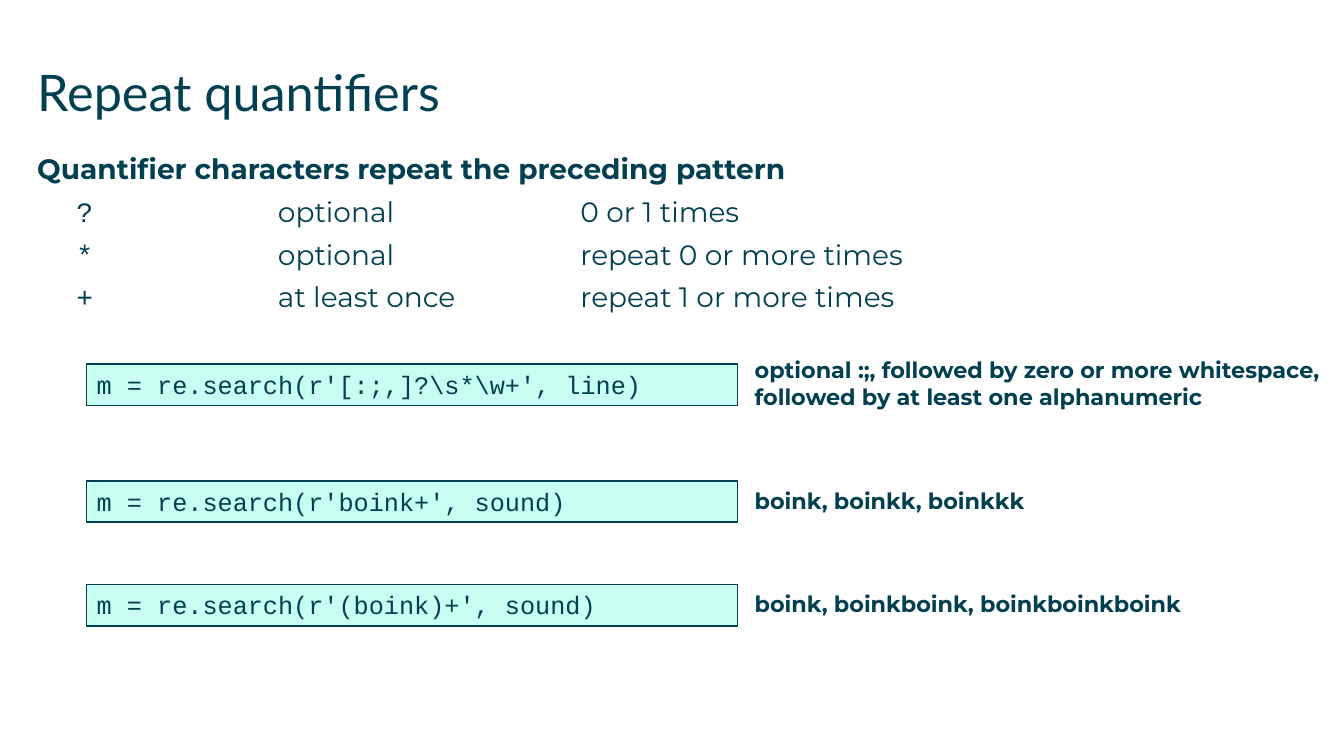
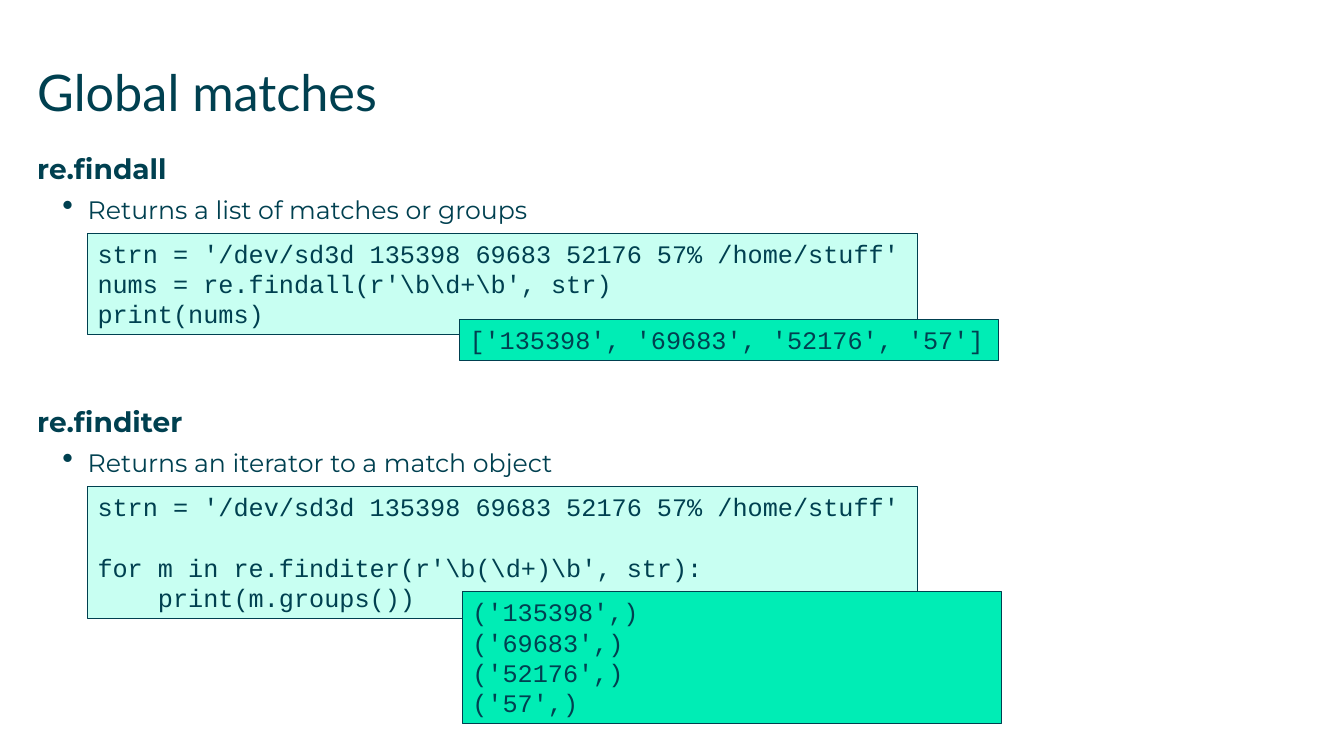
from pptx import Presentation
from pptx.dml.color import RGBColor
from pptx.enum.shapes import MSO_SHAPE as Shape
from pptx.enum.text import MSO_ANCHOR as Anchor
from pptx.util import Pt
from lxml.etree import SubElement as Sub
from pptx.oxml.ns import qn

# Shared look
INK, MINT, GREEN = "004050", "C8FFF2", "00EDB5"
HEAD, BODY, CODE = "Lato", "Montserrat", "Courier New"
LEFT, WIDE = 26.6, 907
GAP = 6.5


def color(text):
    return RGBColor.from_string(text)


def style(para, face, size, bold=False, after=0):
    para.space_after = Pt(after)
    font = para.font
    font.name, font.size, font.bold = face, Pt(size), bold
    font.color.rgb = color(INK)
    for run in para.runs:
        run.font.name, run.font.size, run.font.bold = face, Pt(size), bold
        run.font.color.rgb = color(INK)


def fill(frame, lines, face, size, bold=False, after=0):
    """Write one paragraph for each line."""
    frame.word_wrap = True
    for i, line in enumerate(lines):
        para = frame.paragraphs[0] if i == 0 else frame.add_paragraph()
        para.text = line
        style(para, face, size, bold, after)


def label(slide, box, lines, face, size, bold=False, after=0, inset=0):
    frame = slide.shapes.add_textbox(*map(Pt, box)).text_frame
    frame.margin_left = frame.margin_right = Pt(inset)
    frame.margin_top = frame.margin_bottom = 0
    fill(frame, lines, face, size, bold, after)
    return frame


def panel(slide, box, lines, back=MINT, edge=0.75):
    """Outlined box of code or output."""
    shape = slide.shapes.add_shape(Shape.RECTANGLE, *map(Pt, box))
    shape.shadow.inherit = False
    shape.fill.solid()
    shape.fill.fore_color.rgb = color(back)
    shape.line.color.rgb = color(INK)
    shape.line.width = Pt(edge)
    frame = shape.text_frame
    frame.vertical_anchor = Anchor.TOP
    fill(frame, lines, CODE, 18)
    for para in frame.paragraphs:
        para.alignment = 1


def start(deck, title):
    slide = deck.slides.add_slide(deck.slide_layouts[6])
    label(slide, (LEFT, 44, WIDE, 63), [title], HEAD, 36)
    return slide


def bullet(para):
    props = para._p.get_or_add_pPr()
    props.set("marL", str(Pt(36)))
    props.set("indent", str(-Pt(18)))
    Sub(props, qn("a:buSzPct"), val="125000")
    Sub(props, qn("a:buChar"), char="•")


def grid(slide, box, rows, stops):
    """Rows of text aligned by tab stops; the first column is code."""
    frame = label(slide, box, ["\t".join(row) for row in rows],
                  BODY, 20, after=GAP)
    for para, row in zip(frame.paragraphs, rows):
        para.text = ""
        tabs = Sub(para._p.get_or_add_pPr(), qn("a:tabLst"))
        for stop in stops:
            Sub(tabs, qn("a:tab"), pos=str(Pt(stop)), algn="l")
        para.add_run().text = row[0]
        para.add_run().text = "\t" + "\t".join(row[1:])
        style(para, BODY, 20, after=GAP)
        para.runs[0].font.name = CODE


def sample(slide, box, code, note):
    """Line of code with its meaning on the right."""
    x, y, w, h = box
    panel(slide, box, [code], edge=1)
    side = (x + w + 5, y - 9, 425, h + 16)
    frame = label(slide, side, [note], BODY, 16, True, inset=7.2)
    frame.vertical_anchor = Anchor.MIDDLE


def section(slide, box, name, about, code, out, place):
    """Heading, bullet, code, and output laid over the code."""
    x, y, w, h = box
    frame = label(slide, (x, y, w, 56), [name], BODY, 20, True, GAP)
    para = frame.add_paragraph()
    para.text = about
    bullet(para)
    style(para, BODY, 18, after=GAP)
    panel(slide, (x + 36, y + 58.5, 592.5, h), code)
    dx, dy, high = place
    panel(slide, (x + dx, y + dy, 385, high), out, GREEN)


def repeats(deck):
    slide = start(deck, "Repeat quantifiers")
    label(slide, (LEFT, 108, WIDE, 30),
          ["Quantifier characters repeat the preceding pattern"],
          BODY, 20, True)
    rows = [("?", "optional", "0 or 1 times"),
            ("*", "optional", "repeat 0 or more times"),
            ("+", "at least once", "repeat 1 or more times")]
    grid(slide, (LEFT + 28, 138.9, 800, 93), rows, (144, 360))
    samples = [
        (260, r"m = re.search(r'[:;,]?\s*\w+', line)",
         "optional :;, followed by zero or more whitespace, "
         "followed by at least one alphanumeric"),
        (343.5, "m = re.search(r'boink+', sound)", "boink, boinkk, boinkkk"),
        (417.6, "m = re.search(r'(boink)+', sound)",
         "boink, boinkboink, boinkboinkboink")]
    for y, code, note in samples:
        sample(slide, (62, y, 465, 29.5), code, note)


def matches(deck):
    slide = start(deck, "Global matches")
    data = "strn = '/dev/sd3d 135398 69683 52176 57% /home/stuff'"
    section(slide, (LEFT, 108, WIDE, 72.7), "re.findall",
            "Returns a list of matches or groups",
            [data, r"nums = re.findall(r'\b\d+\b', str)", "print(nums)"],
            ["['135398', '69683', '52176', '57']"], (301.7, 120.2, 29.5))
    section(slide, (LEFT, 289, WIDE, 94.3), "re.finditer",
            "Returns an iterator to a match object",
            [data, "", r"for m in re.finditer(r'\b(\d+)\b', str):",
             "    print(m.groups())"],
            ["('135398',)", "('69683',)", "('52176',)", "('57',)"],
            (303.7, 133.6, 94.3))


def main():
    deck = Presentation()
    deck.slide_width, deck.slide_height = Pt(960), Pt(540)
    repeats(deck)
    matches(deck)
    deck.save("out.pptx")


if __name__ == "__main__":
    main()
